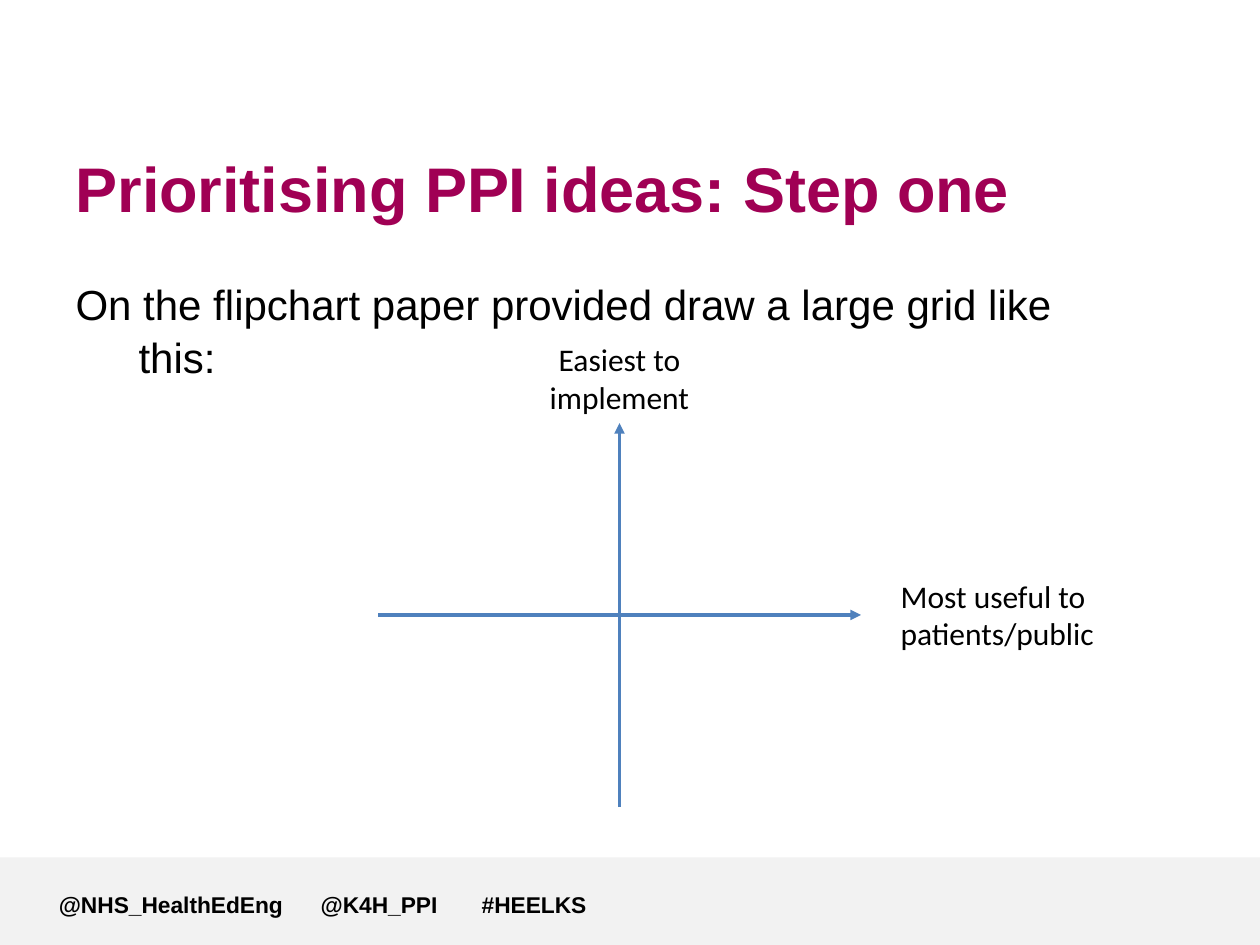
"""Builds the slide on prioritising PPI ideas with its two-axis grid."""
import lxml.etree
import pptx
import pptx.dml.color
import pptx.enum.shapes
import pptx.enum.text
import pptx.oxml
import pptx.oxml.ns
import pptx.util

Pt = pptx.util.Pt
ALIGN = pptx.enum.text.PP_ALIGN
ANCHOR = pptx.enum.text.MSO_ANCHOR
AUTO_SIZE = pptx.enum.text.MSO_AUTO_SIZE
COLOURS = {"title": "A00054", "text": "000000", "axis": "4F81BD", "band": "F2F2F2"}


def add_element(parent, tag, **attributes):
    return lxml.etree.SubElement(parent, pptx.oxml.ns.qn(tag), attributes)


class SlideBuilder:
    def __init__(self, slide):
        self.slide = slide
        self.heading_font = "Arial"
        self.label_font = "Calibri"

    def colour(self, name):
        return pptx.dml.color.RGBColor.from_string(COLOURS[name])

    def place(self, shape, left, top, width, height):
        shape.left, shape.top = Pt(left), Pt(top)
        shape.width, shape.height = Pt(width), Pt(height)

    def fill_text(self, shape, text, font, size, colour="text", bold=False,
                  align=ALIGN.LEFT, anchor=ANCHOR.TOP, auto_size=AUTO_SIZE.NONE):
        frame = shape.text_frame
        frame.word_wrap = True
        frame.auto_size = auto_size
        frame.vertical_anchor = anchor
        paragraph = frame.paragraphs[0]
        paragraph.alignment = align
        paragraph.space_before = Pt(0)
        run = paragraph.add_run()
        run.text = text
        run.font.name = font
        run.font.size = Pt(size)
        run.font.bold = bold
        run.font.color.rgb = self.colour(colour)
        return paragraph

    def title(self, text, *box):
        shape = self.slide.shapes.title
        self.place(shape, *box)
        self.fill_text(shape, text, self.heading_font, 36, "title", True,
                       anchor=ANCHOR.MIDDLE)

    def body(self, text, *box):
        shape = self.slide.placeholders[1]
        self.place(shape, *box)
        paragraph = self.fill_text(shape, text, self.heading_font, 24)
        paragraph.line_spacing = 1.05
        properties = paragraph._p.get_or_add_pPr()
        properties.set("marL", str(Pt(36)))
        properties.set("indent", str(Pt(-36)))
        add_element(properties, "a:buNone")

    def band(self, *box):
        shape = self.slide.shapes.add_shape(
            pptx.enum.shapes.MSO_SHAPE.RECTANGLE, *map(Pt, box))
        shape.shadow.inherit = False
        shape.fill.solid()
        shape.fill.fore_color.rgb = self.colour("band")
        shape.line.fill.background()

    def label(self, text, *box, align=ALIGN.LEFT):
        shape = self.slide.shapes.add_textbox(*map(Pt, box))
        self.fill_text(shape, text, self.label_font, 18, align=align,
                       auto_size=AUTO_SIZE.SHAPE_TO_FIT_TEXT)
        return shape

    def footer(self, handles, tab_stops, *box):
        shape = self.slide.shapes.add_textbox(*map(Pt, box))
        paragraph = self.fill_text(shape, "\t".join(handles), self.heading_font, 13,
                                   bold=True)
        tabs = add_element(paragraph._p.get_or_add_pPr(), "a:tabLst")
        for stop in tab_stops:
            add_element(tabs, "a:tab", pos=str(Pt(stop)), algn="l")

    def axis(self, *ends):
        connector = self.slide.shapes.add_connector(
            pptx.enum.shapes.MSO_CONNECTOR.STRAIGHT, *map(Pt, ends))
        connector.line.color.rgb = self.colour("axis")
        connector.line.width = Pt(2)
        add_element(connector.line._get_or_add_ln(), "a:tailEnd", type="triangle")
        add_element(connector._element.spPr, "a:effectLst")
        return connector


def main():
    presentation = pptx.Presentation()
    presentation.slide_width, presentation.slide_height = Pt(720), Pt(540)
    builder = SlideBuilder(presentation.slides.add_slide(presentation.slide_layouts[1]))

    builder.band(0, 490, 720, 50)
    builder.title("Prioritising PPI ideas: Step one", 36, 80.6, 612, 53.3)
    builder.body("On the flipchart paper provided draw a large grid like this:",
                 36, 154, 617, 293)

    centre_x, centre_y = 354, 351.4
    label_height = 51
    top_label = builder.label("Easiest to implement", centre_x - 65, 190.8, 130,
                              label_height, align=ALIGN.CENTER)
    vertical_axis = builder.axis(centre_x, 461.3, centre_x, 241.8)
    vertical_axis.end_connect(top_label, 2)
    builder.axis(centre_x - 138, centre_y, centre_x + 138, centre_y)
    builder.label("Most useful to patients/public", 507.6,
                  centre_y - label_height / 2, 163.4, label_height)

    builder.footer(["@NHS_HealthEdEng", "@K4H_PPI", "#HEELKS"], [149.6, 241.6],
                   26.6, 505.4, 420.5, 28.8)
    presentation.save("out.pptx")


if __name__ == "__main__":
    main()
